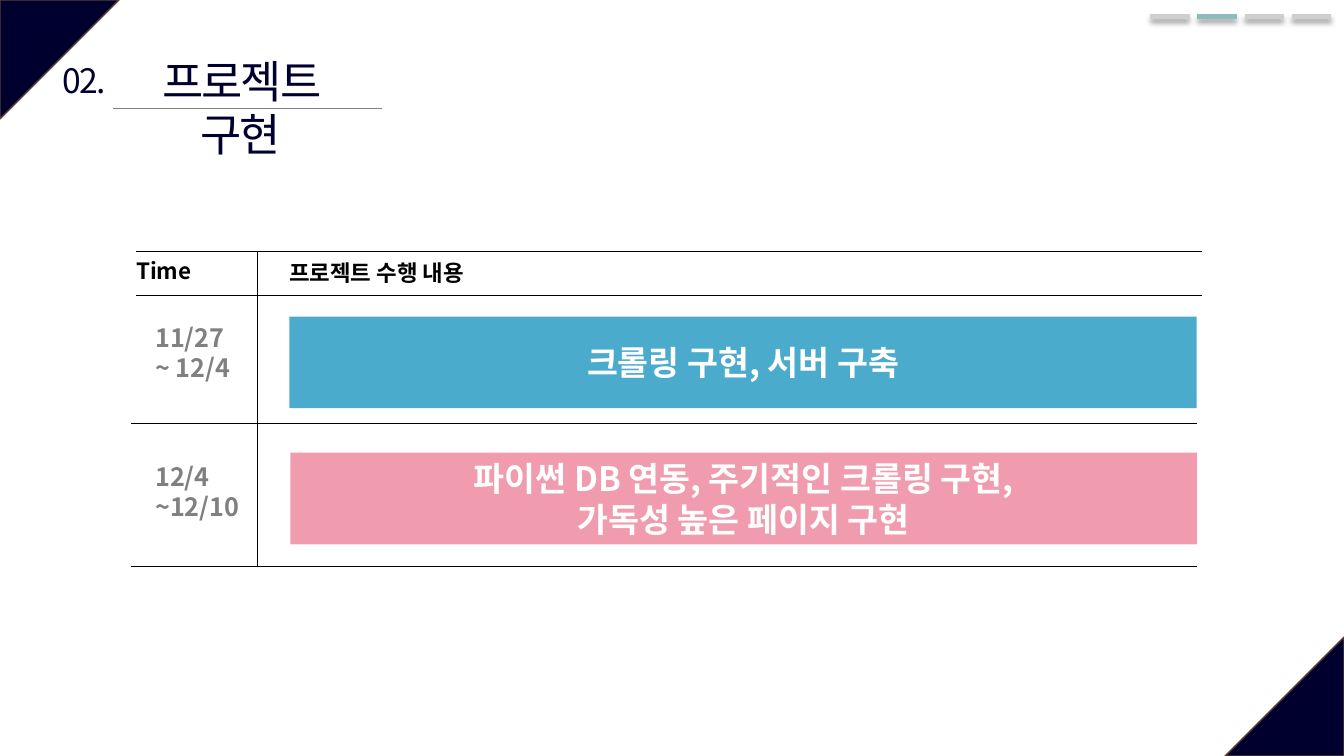
import pptx
import pptx.dml.color
import pptx.enum.shapes
import pptx.enum.text
import pptx.oxml
import pptx.oxml.ns
import pptx.util
from pptx.util import Inches

FONT = "Noto Sans CJK KR"
NAVY, GREY, BLACK, WHITE = "00002F", "808080", "000000", "FFFFFF"
SHAPE = pptx.enum.shapes.MSO_SHAPE
ALIGN = pptx.enum.text.PP_ALIGN
ANCHOR = pptx.enum.text.MSO_ANCHOR
NAMESPACE = pptx.oxml.ns.nsdecls("a")
NO_EFFECT = f"<a:effectLst {NAMESPACE}/>"
SOFT_SHADOW = (
    f'<a:effectLst {NAMESPACE}><a:outerShdw blurRad="50800" dist="38100" dir="5400000" '
    'algn="t" rotWithShape="0"><a:srgbClr val="000000"><a:alpha val="40000"/></a:srgbClr>'
    "</a:outerShdw></a:effectLst>"
)


def color(value):
    """Turn a hex string into a colour."""
    return pptx.dml.color.RGBColor.from_string(value)


def write(shape, text, size=16, fill=BLACK, bold=False, align=ALIGN.LEFT,
          anchor=ANCHOR.TOP, wrap=True, inset=True, spacing=0):
    """Fill a shape with formatted text, one paragraph per line."""
    frame = shape.text_frame
    frame.word_wrap = wrap
    frame.vertical_anchor = anchor
    if not inset:
        frame.margin_left = frame.margin_top = 0
    frame.text = text
    for para in frame.paragraphs:
        para.alignment = align
        for span in para.runs:
            span.font.name = FONT
            span.font.size = pptx.util.Pt(size)
            span.font.bold = bold
            span.font.color.rgb = color(fill)
            properties = span.font._element
            properties.append(pptx.oxml.parse_xml(f'<a:ea {NAMESPACE} typeface="{FONT}"/>'))
            if spacing:
                properties.set("spc", str(int(spacing * 100)))


def add_text(page, left, top, width, height, text, **style):
    """Place a text box."""
    box = page.shapes.add_textbox(Inches(left), Inches(top), Inches(width), Inches(height))
    write(box, text, **style)


def add_block(page, kind, left, top, width, height, fill, outline=None):
    """Place a flat filled shape and return it."""
    block = page.shapes.add_shape(kind, Inches(left), Inches(top), Inches(width), Inches(height))
    block.shadow.inherit = False
    block.fill.solid()
    block.fill.fore_color.rgb = color(fill)
    if outline:
        block.line.color.rgb = color(outline)
        block.line.width = pptx.util.Pt(1)
    else:
        block.line.fill.background()
    return block


def add_line(page, left, top, right, bottom, stroke=BLACK, weight=0.25, effect=NO_EFFECT):
    """Draw a straight line."""
    line = page.shapes.add_connector(
        pptx.enum.shapes.MSO_CONNECTOR.STRAIGHT,
        Inches(left), Inches(top), Inches(right), Inches(bottom))
    line.line.color.rgb = color(stroke)
    line.line.width = pptx.util.Pt(weight)
    line._element.spPr.append(pptx.oxml.parse_xml(effect))


def add_corners(page, width, height, side=1.18):
    """Put triangles in the top left and bottom right corners."""
    for left, top, turn in ((0, 0, 90), (width - side, height - side, 270)):
        corner = add_block(page, SHAPE.ISOSCELES_TRIANGLE, left, top, side, side, NAVY, "5B3F33")
        corner.adjustments[0] = 0
        corner.rotation = turn


def add_progress(page, left, top, active, count=4, step=0.467, length=0.39):
    """Draw the section markers with the active one tinted."""
    for index in range(count):
        start = left + index * step
        stroke = "8DBABD" if index == active else "D0CECE"
        add_line(page, start, top, start + length, top, stroke, 3.5, SOFT_SHADOW)


def add_heading(page, left, top, number, title):
    """Write the section number and the underlined title."""
    style = dict(fill=NAVY, align=ALIGN.CENTER, spacing=-1.5)
    add_text(page, left, top + 0.07, 0.67, 0.5, number, size=24, wrap=False, **style)
    add_line(page, left + 0.62, top + 0.6, left + 3.29, top + 0.6, GREY, 0.5)
    add_text(page, left + 0.58, top, 2.62, 0.64, title, size=32, **style)


def add_schedule(page, left, top, width, tasks):
    """Draw the ruled schedule with its dates and task bars."""
    head, divider, bottom = top + 0.44, left + 1.25, top + 3.13
    bar_left = left + 1.57
    label = dict(bold=True, inset=False)
    for shift, rule, weight in ((0.05, top, 0.25), (0.05, head, 0.75),
                                (0, top + 1.71, 0.25), (0, bottom, 0.25)):
        add_line(page, left + shift, rule, left + shift + width, rule, weight=weight)
    add_line(page, divider, top, divider, bottom, weight=0.75)
    add_text(page, left + 0.05, top + 0.06, 0.8, 0.22, "Time", wrap=False, **label)
    add_text(page, bar_left, top + 0.08, 3.62, 0.22, "프로젝트 수행 내용", wrap=False, **label)
    for date_top, dates, bar_top, indent, fill, task in tasks:
        add_text(page, left + 0.24, top + date_top, 1.2, 0.22, dates, size=18, fill=GREY,
                 anchor=ANCHOR.MIDDLE, **label)
        bar = add_block(page, SHAPE.RECTANGLE, bar_left + indent, top + bar_top,
                        width - 1.57 - indent, 0.91, fill)
        write(bar, task, size=24, fill=WHITE, bold=True, align=ALIGN.CENTER,
              anchor=ANCHOR.MIDDLE)


def main():
    """Build the deck and save it."""
    width, height = 13.33, 7.5
    deck = pptx.Presentation()
    deck.slide_width, deck.slide_height = Inches(width), Inches(height)
    page = deck.slides.add_slide(deck.slide_layouts[6])
    add_corners(page, width, height)
    add_progress(page, 11.41, 0.16, active=1)
    add_heading(page, 0.5, 0.48, "02.", "프로젝트 구현")
    add_schedule(page, 1.3, 2.49, 10.57, (
        (0.92, "11/27\n~ 12/4", 0.65, 0, "4BABCD", "크롤링 구현, 서버 구축"),
        (2.3, "12/4\n~12/10", 2, 0.01, "F19CAE",
         "파이썬 DB 연동, 주기적인 크롤링 구현,\n가독성 높은 페이지 구현"),
    ))
    deck.save("out.pptx")


if __name__ == "__main__":
    main()
